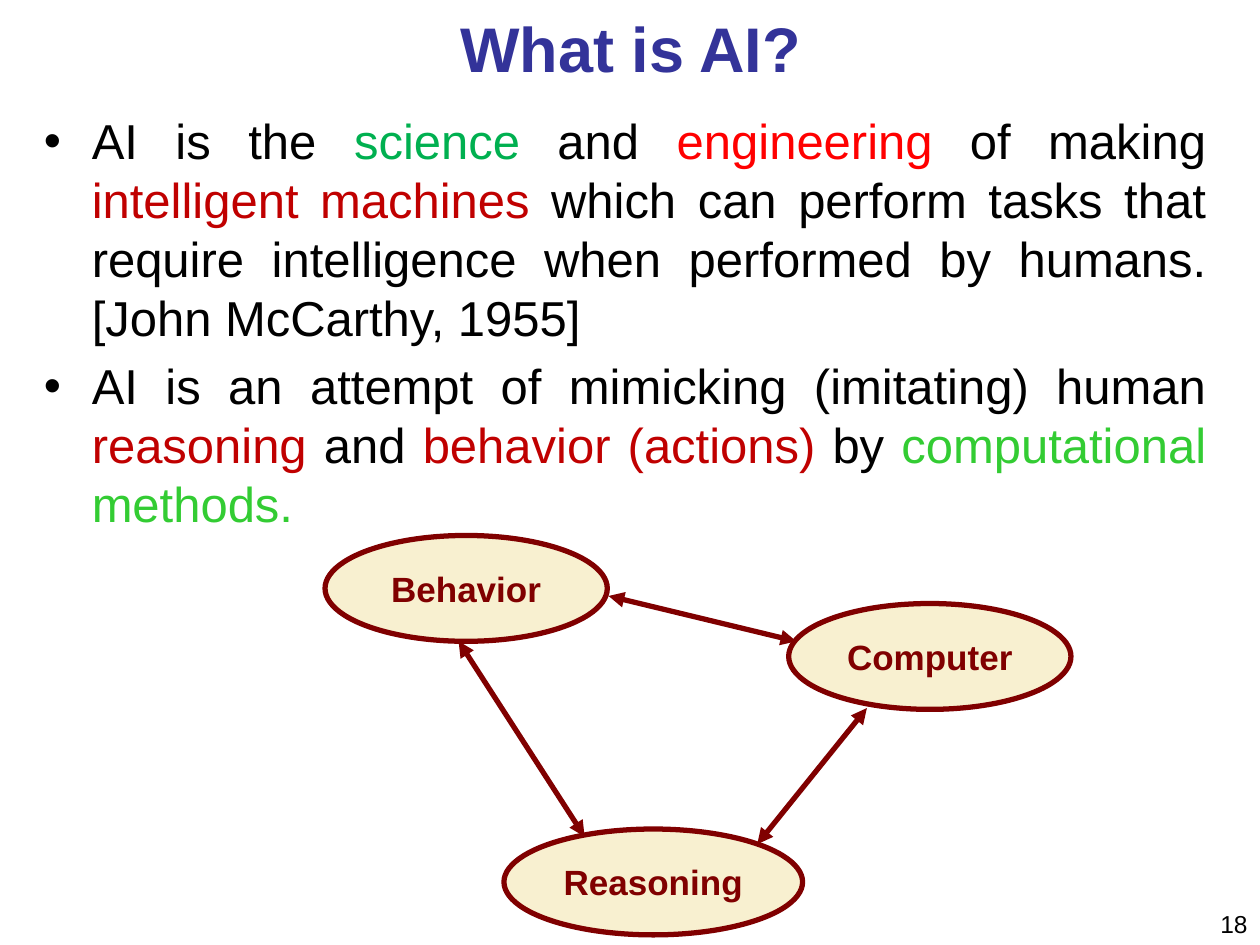
from pptx import Presentation
from pptx.dml.color import RGBColor
from pptx.enum.shapes import MSO_CONNECTOR as CONNECTOR, MSO_SHAPE as SHAPE
from pptx.enum.text import MSO_ANCHOR as ANCHOR, PP_ALIGN as ALIGN
from pptx.oxml.ns import qn
from pptx.util import Inches, Pt
from lxml.etree import SubElement

COLORS = {
    "black": "000000", "title": "333399", "green": "00B050", "red": "FF0000",
    "crimson": "C00000", "lime": "33CC33", "cream": "F8F0D0", "maroon": "800000",
}
DEFINITIONS = [
    [("AI is the ", "black"), ("science", "green"), (" and ", "black"),
     ("engineering", "red"), (" of making ", "black"),
     ("intelligent machines", "crimson"),
     (" which can perform tasks that require intelligence when performed by "
      "humans. [John McCarthy, 1955]", "black")],
    [("AI is an attempt of mimicking (imitating) human", "black"),
     (" reasoning ", "crimson"), ("and ", "black"),
     ("behavior (actions) ", "crimson"), ("by ", "black"),
     ("computational methods.", "lime")],
]
# Offsets from the top left corner of the diagram
CONCEPTS = [("Behavior", 0, 0, 2.24), ("Reasoning", 1.42, 2.33, 2.37),
            ("Computer", 3.68, 0.54, 2.24)]
LINKS = [((1.06, 0.84), (2.06, 2.39)), ((3.43, 2.45), (4.3, 1.37)),
         ((2.25, 0.48), (3.74, 0.84))]
CONCEPT_HEIGHT = 0.84


def rgb(name):
    return RGBColor.from_string(COLORS[name])


def add_run(paragraph, text, size, color, bold=False):
    run = paragraph.add_run()
    run.text = text
    font = run.font
    font.name, font.size, font.bold = "Arial", Pt(size), bold
    font.color.rgb = rgb(color)


def add_frame(slide, left, top, width, height):
    box = slide.shapes.add_textbox(
        Inches(left), Inches(top), Inches(width), Inches(height))
    box.text_frame.word_wrap = True
    return box.text_frame


def add_line_of_text(slide, box, text, size, color, align, bold=False):
    frame = add_frame(slide, *box)
    frame.vertical_anchor = ANCHOR.MIDDLE
    paragraph = frame.paragraphs[0]
    paragraph.alignment = align
    add_run(paragraph, text, size, color, bold)


def add_bullet(paragraph, indent):
    properties = paragraph._p.get_or_add_pPr()
    properties.set("marL", str(Inches(indent)))
    properties.set("indent", str(-Inches(indent)))
    SubElement(properties, qn("a:buFont"), typeface="Arial")
    SubElement(properties, qn("a:buChar"), char="•")


def add_definitions(slide, box):
    frame = add_frame(slide, *box)
    for index, pieces in enumerate(DEFINITIONS):
        paragraph = frame.add_paragraph() if index else frame.paragraphs[0]
        add_bullet(paragraph, 0.38)
        paragraph.alignment = ALIGN.JUSTIFY
        if index:
            paragraph.space_before = Pt(5.6)
        for text, color in pieces:
            add_run(paragraph, text, 28, color)


def add_concept(slide, left, top, width, name):
    ellipse = slide.shapes.add_shape(
        SHAPE.OVAL, Inches(left), Inches(top), Inches(width), Inches(CONCEPT_HEIGHT))
    ellipse.shadow.inherit = False
    ellipse.fill.solid()
    ellipse.fill.fore_color.rgb = rgb("cream")
    ellipse.line.color.rgb = rgb("maroon")
    ellipse.line.width = Pt(3)
    frame = ellipse.text_frame
    frame.word_wrap = False
    frame.vertical_anchor = ANCHOR.MIDDLE
    label = frame.paragraphs[0]
    label.alignment = ALIGN.CENTER
    add_run(label, name, 20, "maroon", True)


def add_two_way_arrow(slide, x1, y1, x2, y2):
    arrow = slide.shapes.add_connector(
        CONNECTOR.STRAIGHT, Inches(x1), Inches(y1), Inches(x2), Inches(y2))
    arrow.line.color.rgb = rgb("maroon")
    arrow.line.width = Pt(3)
    outline = arrow.line._get_or_add_ln()
    for end in ("a:headEnd", "a:tailEnd"):
        SubElement(outline, qn(end), type="triangle")
    SubElement(arrow._element.spPr, qn("a:effectLst"))


def add_concept_diagram(slide, left, top):
    for name, dx, dy, width in CONCEPTS:
        add_concept(slide, left + dx, top + dy, width, name)
    for (x1, y1), (x2, y2) in LINKS:
        add_two_way_arrow(slide, left + x1, top + y1, left + x2, top + y2)


def main():
    deck = Presentation()
    deck.slide_width, deck.slide_height = Inches(10), Inches(7.5)
    slide = deck.slides.add_slide(deck.slide_layouts[6])
    add_line_of_text(slide, (9.5, 7.17, 0.5, 0.33), "18", 14, "black", ALIGN.RIGHT)
    add_definitions(slide, (0.25, 0.83, 9.42, 6.67))
    add_line_of_text(slide, (0.17, 0, 9.67, 0.75), "What is AI?", 36, "title",
                     ALIGN.CENTER, bold=True)
    add_concept_diagram(slide, 2.58, 4.25)
    deck.save("out.pptx")


if __name__ == "__main__":
    main()
